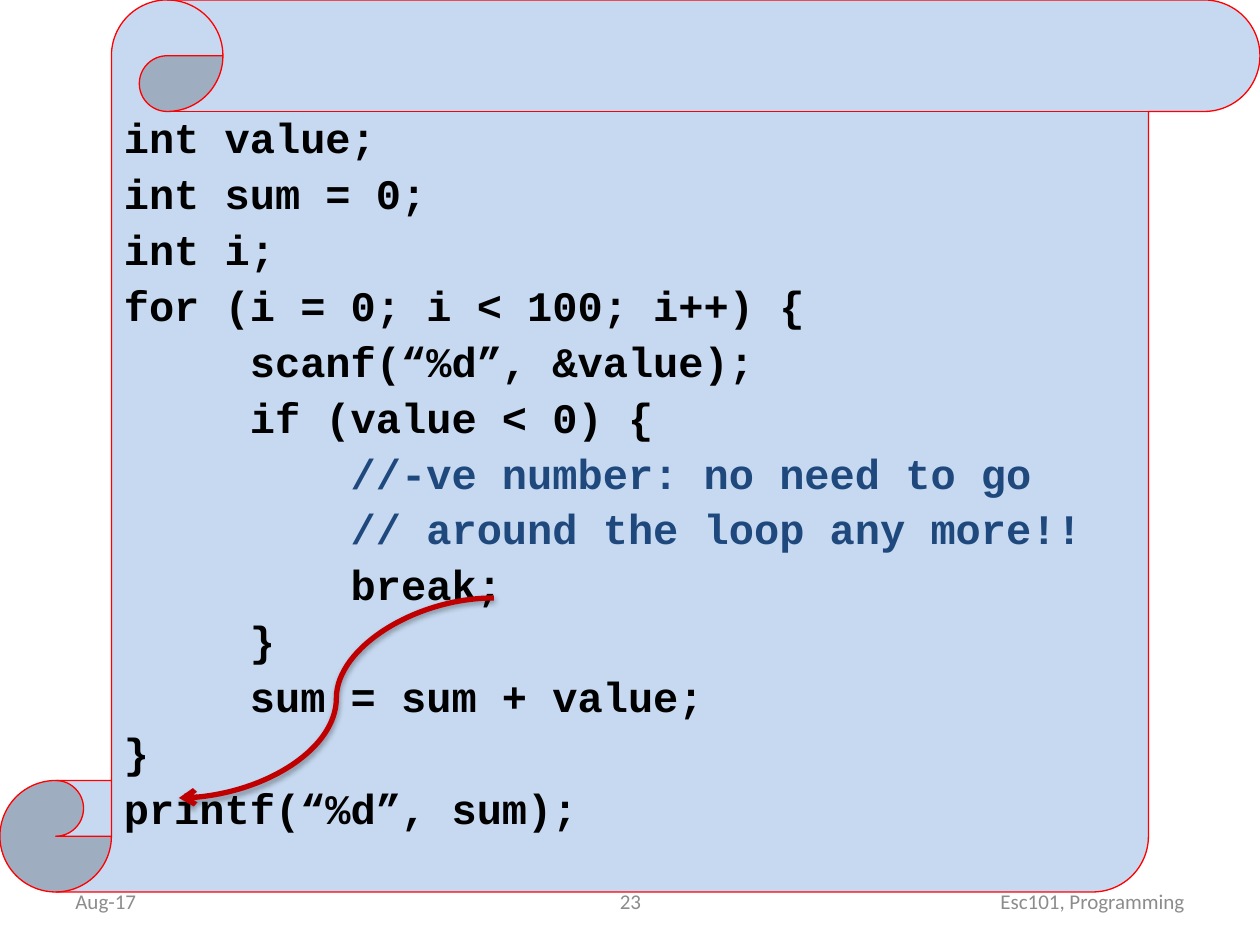
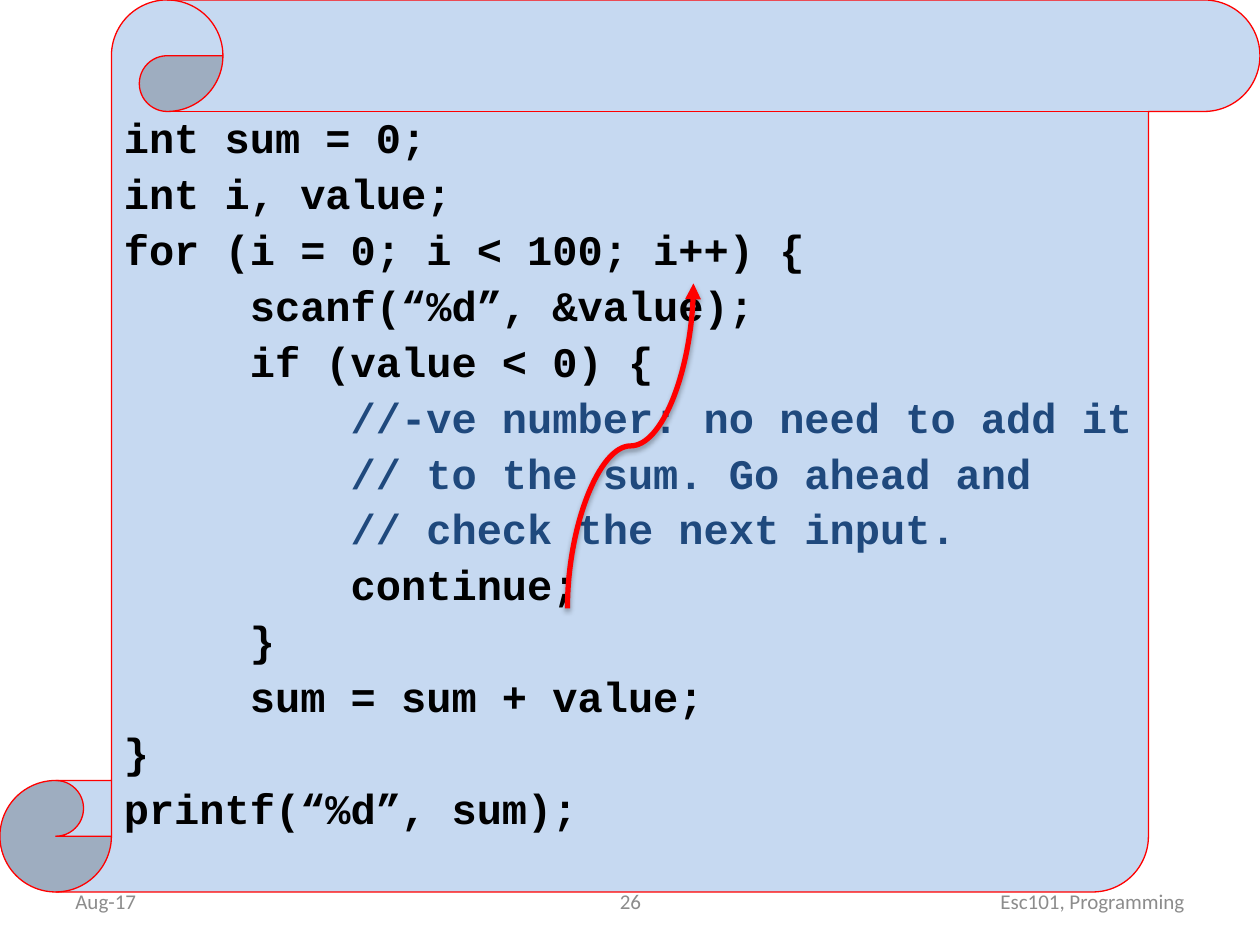
"""Build two slides that trace break and continue through a C loop."""
from dataclasses import dataclass

from lxml.etree import SubElement
from pptx import Presentation
from pptx.dml.color import RGBColor
from pptx.enum.shapes import MSO_CONNECTOR, MSO_SHAPE
from pptx.enum.text import MSO_ANCHOR, PP_ALIGN
from pptx.oxml.ns import qn
from pptx.presentation import Presentation as Deck
from pptx.slide import Slide
from pptx.text.text import TextFrame
from pptx.util import Emu, Pt

PAGE_WIDTH, PAGE_HEIGHT = 1260, 945
SCROLL_HEIGHT = 892
SCROLL_FILL, SCROLL_LINE = "C6D9F1", "FF0000"
CODE_COLOR, COMMENT_COLOR, FOOTER_COLOR = "000000", "1F497D", "8C8C8C"
CODE_FONT, FOOTER_FONT = "Courier New", "Calibri"
FOOTER_TOP, FOOTER_HEIGHT = 876, 50


@dataclass(frozen=True)
class JumpArrow:
    begin: tuple[int, int]
    end: tuple[int, int]
    color: str
    head: str
    rotation: int = 0


@dataclass(frozen=True)
class CodePage:
    number: str
    code: str
    jump: JumpArrow


@dataclass(frozen=True)
class FooterPart:
    left: int
    width: int
    text: str
    align: PP_ALIGN


PAGES = [
    CodePage("23", """int value;
int sum = 0;
int i;
for (i = 0; i < 100; i++) {
     scanf(“%d”, &value);
     if (value < 0) {
         //-ve number: no need to go
         // around the loop any more!!
         break;
     }
     sum = sum + value;
}
printf(“%d”, sum);""", JumpArrow((494, 598), (179, 798), "C00000", "arrow")),
    CodePage("26", """int sum = 0;
int i, value;
for (i = 0; i < 100; i++) {
     scanf(“%d”, &value);
     if (value < 0) {
         //-ve number: no need to add it
         // to the sum. Go ahead and
         // check the next input.
         continue;
     }
     sum = sum + value;
}
printf(“%d”, sum);""", JumpArrow((793, 509), (468, 383), "FF0000", "triangle", 90)),
]


def px(length: int) -> Emu:
    return Emu(round(length * 914400 / 126))


def rgb(color: str) -> RGBColor:
    return RGBColor.from_string(color)


def write_line(frame: TextFrame, text: str, *, first: bool = True, font: str, size: int,
               color: str, bold: bool = False, align: PP_ALIGN = PP_ALIGN.LEFT,
               spacing: float = 1.0, before: float = 0) -> None:
    para = frame.paragraphs[0] if first else frame.add_paragraph()
    para.alignment = align
    para.line_spacing = spacing
    para.space_before = Pt(0 if first else before)
    span = para.add_run()
    span.text = text
    span.font.name = font
    span.font.size = Pt(size)
    span.font.bold = bold
    span.font.color.rgb = rgb(color)


def draw_footer(slide: Slide, number: str) -> None:
    parts = [
        FooterPart(63, 294, "Aug-17", PP_ALIGN.LEFT),
        FooterPart(431, 399, number, PP_ALIGN.CENTER),
        FooterPart(903, 294, "Esc101, Programming", PP_ALIGN.RIGHT),
    ]
    for part in parts:
        box = slide.shapes.add_textbox(px(part.left), px(FOOTER_TOP),
                                       px(part.width), px(FOOTER_HEIGHT))
        frame = box.text_frame
        frame.word_wrap = True
        frame.vertical_anchor = MSO_ANCHOR.MIDDLE
        write_line(frame, part.text, font=FOOTER_FONT, size=12,
                   color=FOOTER_COLOR, align=part.align)


def draw_scroll(slide: Slide, code: str) -> None:
    scroll = slide.shapes.add_shape(MSO_SHAPE.VERTICAL_SCROLL, 0, 0,
                                    px(PAGE_WIDTH), px(SCROLL_HEIGHT))
    scroll.shadow.inherit = False
    scroll.fill.solid()
    scroll.fill.fore_color.rgb = rgb(SCROLL_FILL)
    scroll.line.color.rgb = rgb(SCROLL_LINE)
    scroll.line.width = Pt(0.75)
    frame = scroll.text_frame
    frame.word_wrap = True
    frame.vertical_anchor = MSO_ANCHOR.TOP
    for index, line in enumerate(code.splitlines()):
        is_comment = line.lstrip().startswith("//")
        write_line(frame, line, first=index == 0, font=CODE_FONT, size=24, bold=True,
                   color=COMMENT_COLOR if is_comment else CODE_COLOR,
                   spacing=0.9, before=6)


def draw_jump(slide: Slide, jump: JumpArrow) -> None:
    arrow = slide.shapes.add_connector(MSO_CONNECTOR.CURVE, *map(px, jump.begin + jump.end))
    arrow.line.color.rgb = rgb(jump.color)
    arrow.line.width = Pt(3)
    properties = arrow._element.spPr
    properties.find(qn("a:xfrm")).set("rot", str(jump.rotation * 60000))
    SubElement(properties.find(qn("a:ln")), qn("a:tailEnd"), type=jump.head)
    effects = SubElement(properties, qn("a:effectLst"))
    shadow = SubElement(effects, qn("a:outerShdw"), blurRad="40000", dist="23000",
                        dir="5400000", rotWithShape="0")
    shade = SubElement(shadow, qn("a:srgbClr"), val="000000")
    SubElement(shade, qn("a:alpha"), val="35000")


def draw_page(deck: Deck, page: CodePage) -> None:
    slide = deck.slides.add_slide(deck.slide_layouts.get_by_name("Blank"))
    draw_footer(slide, page.number)
    draw_scroll(slide, page.code)
    draw_jump(slide, page.jump)


def main() -> None:
    deck = Presentation()
    deck.slide_width, deck.slide_height = px(PAGE_WIDTH), px(PAGE_HEIGHT)
    for page in PAGES:
        draw_page(deck, page)
    deck.save("out.pptx")


if __name__ == "__main__":
    main()
